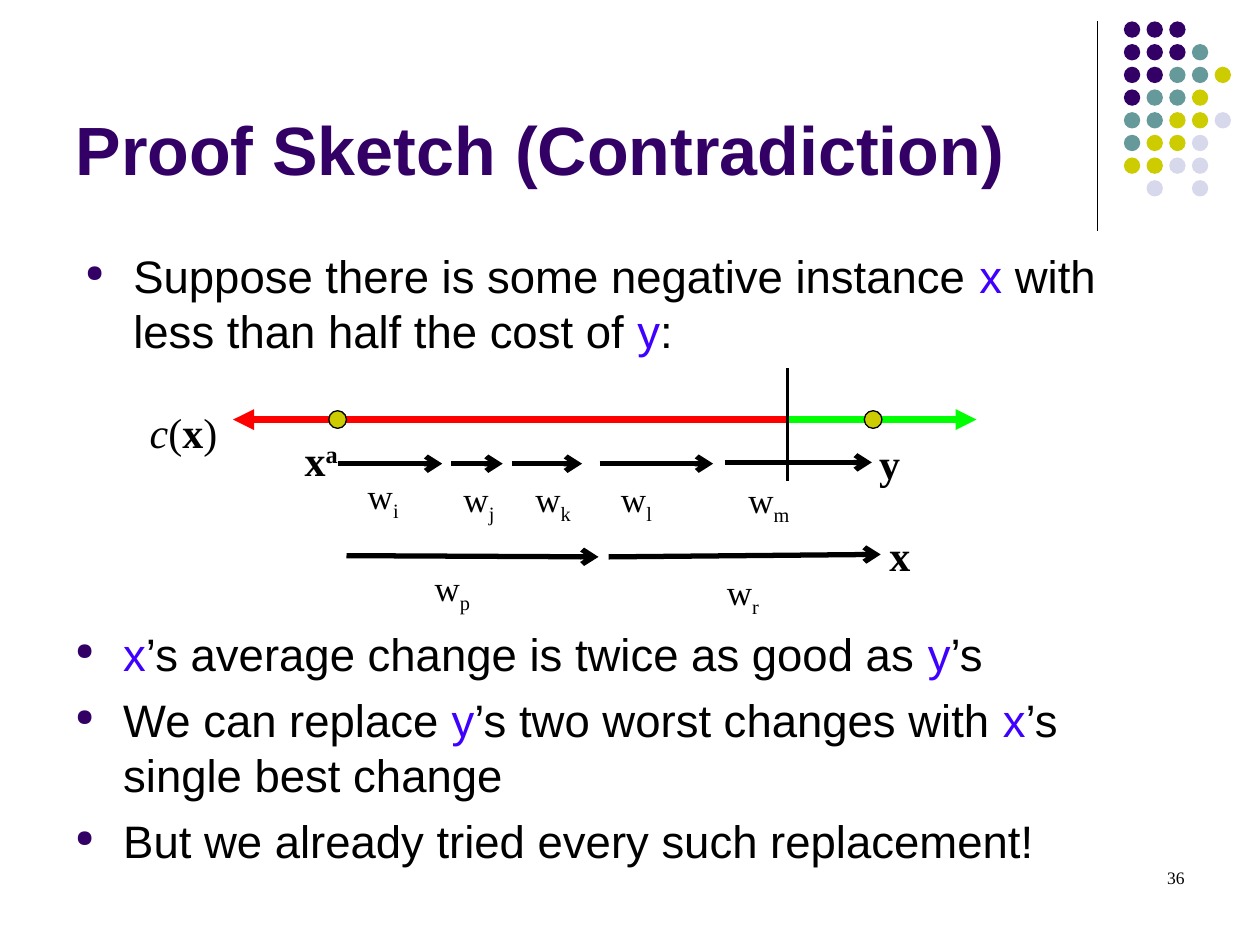
from lxml.etree import SubElement
from pptx import Presentation
from pptx.dml.color import RGBColor
from pptx.enum.shapes import MSO_CONNECTOR, MSO_SHAPE
from pptx.enum.text import MSO_ANCHOR, MSO_AUTO_SIZE, PP_ALIGN
from pptx.oxml.ns import qn
from pptx.util import Inches, Pt

PURPLE, TEAL, OLIVE, PALE = "330066", "669999", "CCCC00", "D8D8EC"
BLACK, BLUE, RED, GREEN = "000000", "3F00FF", "FF0000", "00FF00"


def color(hex_string):
    return RGBColor.from_string(hex_string)


class ProofSlide:
    """Hold the text styles and the slide, and draw each kind of element on it."""

    title = {"size": Pt(39), "name": "Arial", "bold": True}
    body = {"size": Pt(26), "name": "Arial"}
    point = {"size": Pt(24), "name": "Times New Roman", "bold": True}
    cost = {"size": Pt(24), "name": "Times New Roman"}
    change = {"size": Pt(20), "name": "Times New Roman"}
    number = {"size": Pt(10), "name": "Times New Roman"}

    def __init__(self, slide):
        self.slide = slide

    def add_run(self, paragraph, text, style, hex_string=BLACK, baseline=0):
        run = paragraph.add_run()
        run.text = text
        for attribute, value in style.items():
            setattr(run.font, attribute, value)
        run.font.color.rgb = color(hex_string)
        if baseline:
            run.font._element.set("baseline", str(baseline * 1000))

    def add_title(self, text, left, top, width, height):
        heading = self.slide.shapes.title
        heading.left, heading.top = Inches(left), Inches(top)
        heading.width, heading.height = Inches(width), Inches(height)
        frame = heading.text_frame
        frame.auto_size = MSO_AUTO_SIZE.NONE
        frame.vertical_anchor = MSO_ANCHOR.BOTTOM
        frame.paragraphs[0].alignment = PP_ALIGN.LEFT
        self.add_run(frame.paragraphs[0], text, self.title, PURPLE)

    def add_frame(self, left, top, width, height):
        box = self.slide.shapes.add_textbox(
            Inches(left), Inches(top), Inches(width), Inches(height))
        frame = box.text_frame
        frame.word_wrap = True
        frame.auto_size = MSO_AUTO_SIZE.NONE
        return frame

    def add_label(self, left, top, width, height, *runs):
        frame = self.add_frame(left, top, width, height)
        frame.margin_right = 0
        for run in runs:
            self.add_run(frame.paragraphs[0], *run)

    def add_bullets(self, left, top, width, height, statements):
        frame = self.add_frame(left, top, width, height)
        for index, statement in enumerate(statements):
            paragraph = frame.add_paragraph() if index else frame.paragraphs[0]
            paragraph.space_before = Pt(6.5)
            properties = paragraph._p.get_or_add_pPr()
            properties.set("marL", str(Inches(0.38)))
            properties.set("indent", str(-Inches(0.38)))
            SubElement(SubElement(properties, qn("a:buClr")), qn("a:srgbClr"), val=PURPLE)
            SubElement(properties, qn("a:buSzPct"), val="52000")
            SubElement(properties, qn("a:buChar"), char="●")
            for position, part in enumerate(statement.split("|")):
                if part:
                    self.add_run(paragraph, part, self.body, BLUE if position % 2 else BLACK)

    def add_page_number(self, text, left, top, width, height):
        paragraph = self.add_frame(left, top, width, height).paragraphs[0]
        paragraph.alignment = PP_ALIGN.RIGHT
        self.add_run(paragraph, text, self.number)

    def add_line(self, start, end, hex_string, weight, arrowhead=None):
        line = self.slide.shapes.add_connector(
            MSO_CONNECTOR.STRAIGHT, *map(Inches, start + end))
        line.line.color.rgb = color(hex_string)
        line.line.width = Pt(weight)
        if arrowhead:
            SubElement(line.line._get_or_add_ln(), qn("a:tailEnd"), type=arrowhead)
        SubElement(line._element.spPr, qn("a:effectLst"))

    def add_dot(self, left, top, diameter, hex_string, outlined=False):
        dot = self.slide.shapes.add_shape(
            MSO_SHAPE.OVAL, Inches(left), Inches(top), Inches(diameter), Inches(diameter))
        dot.shadow.inherit = False
        dot.fill.solid()
        dot.fill.fore_color.rgb = color(hex_string)
        if outlined:
            dot.line.color.rgb = color(BLACK)
            dot.line.width = Pt(0.75)
        else:
            dot.line.fill.background()


def draw_ornament(proof):
    proof.add_line((8.71, 0.17), (8.71, 1.83), BLACK, 0.75)
    palette = {"p": PURPLE, "t": TEAL, "o": OLIVE, "l": PALE}
    rows = ["ppp", "pppt", "pptto", "ptto", "ttool", "tool", "ooll", " l l"]
    pitch = 0.18
    for row, dots in enumerate(rows):
        for column, key in enumerate(dots):
            if key in palette:
                proof.add_dot(8.92 + column * pitch, 0.17 + row * pitch, 0.13, palette[key])


def draw_cost_axis(proof):
    axis, boundary = 3.33, 6.25
    proof.add_line((boundary, axis), (7.75, axis), GREEN, 4, "triangle")
    proof.add_line((boundary, axis), (1.85, axis), RED, 4, "triangle")
    proof.add_line((boundary, 2.92), (boundary, 3.82), BLACK, 2)
    for instance in (2.61, 6.86):
        proof.add_dot(instance, 3.26, 0.14, OLIVE, outlined=True)
    proof.add_label(1.09, 3.18, 0.73, 0.5,
                    ("c", {**proof.cost, "italic": True}), ("(", proof.cost),
                    ("x", proof.point), (")", proof.cost))
    proof.add_label(2.32, 3.4, 0.46, 0.5, ("x", proof.point), ("a", proof.point, BLACK, 30))
    proof.add_label(6.88, 3.42, 0.36, 0.5, ("y", proof.point))
    proof.add_label(6.96, 4.15, 0.36, 0.5, ("x", proof.point))


def draw_changes(proof):
    changes = [
        ("i", (2.68, 3.68), (3.51, 3.68), (2.82, 3.72, 0.44)),
        ("j", (3.58, 3.68), (3.99, 3.68), (3.58, 3.74, 0.44)),
        ("k", (4.06, 3.68), (4.62, 3.68), (4.15, 3.74, 0.48)),
        ("l", (4.76, 3.68), (5.66, 3.68), (4.83, 3.74, 0.44)),
        ("m", (5.75, 3.67), (6.92, 3.67), (5.84, 3.75, 0.52)),
        ("p", (2.75, 4.41), (4.75, 4.42), (3.35, 4.45, 0.48)),
        ("r", (4.83, 4.42), (6.99, 4.4), (5.67, 4.48, 0.45)),
    ]
    for subscript, start, end, place in changes:
        proof.add_line(start, end, BLACK, 3, "arrow")
        proof.add_label(*place, 0.48, ("w", proof.change),
                        (subscript, proof.change, BLACK, -25))


def main():
    presentation = Presentation()
    presentation.slide_width, presentation.slide_height = Inches(10), Inches(7.5)
    proof = ProofSlide(presentation.slides.add_slide(presentation.slide_layouts[5]))
    draw_ornament(proof)
    proof.add_title("Proof Sketch (Contradiction)", 0.5, 0.13, 8.25, 1.42)
    draw_cost_axis(proof)
    draw_changes(proof)
    proof.add_bullets(0.5, 4.92, 9, 2.45, [
        "|x|’s average change is twice as good as |y|’s",
        "We can replace |y|’s two worst changes with |x|’s single best change",
        "But we already tried every such replacement!",
    ])
    proof.add_bullets(0.58, 1.92, 8.75, 2.45, [
        "Suppose there is some negative instance |x |with less than half the cost of |y|:",
    ])
    proof.add_page_number("36", 7.17, 6.83, 2.33, 0.5)
    presentation.save("out.pptx")


if __name__ == "__main__":
    main()
